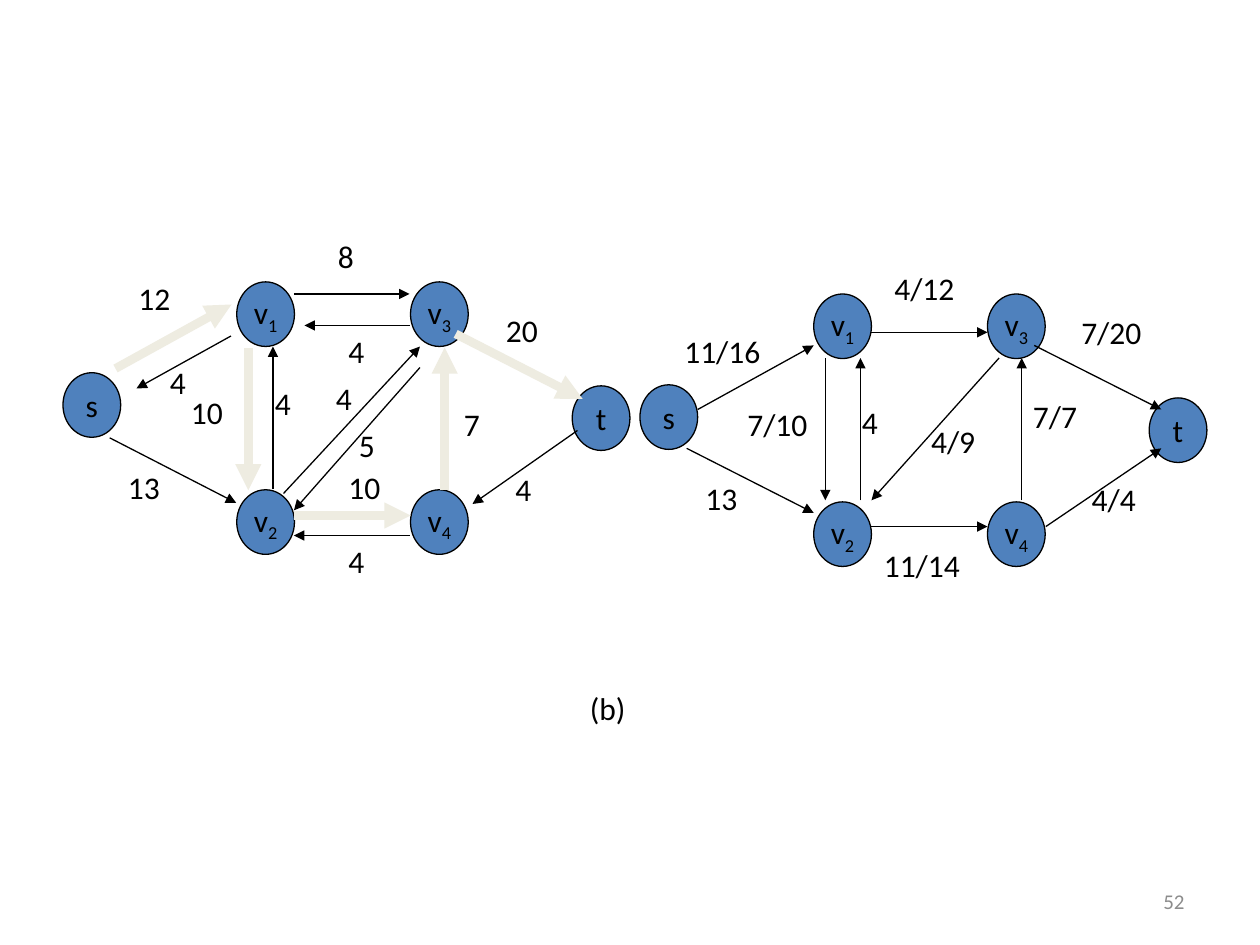
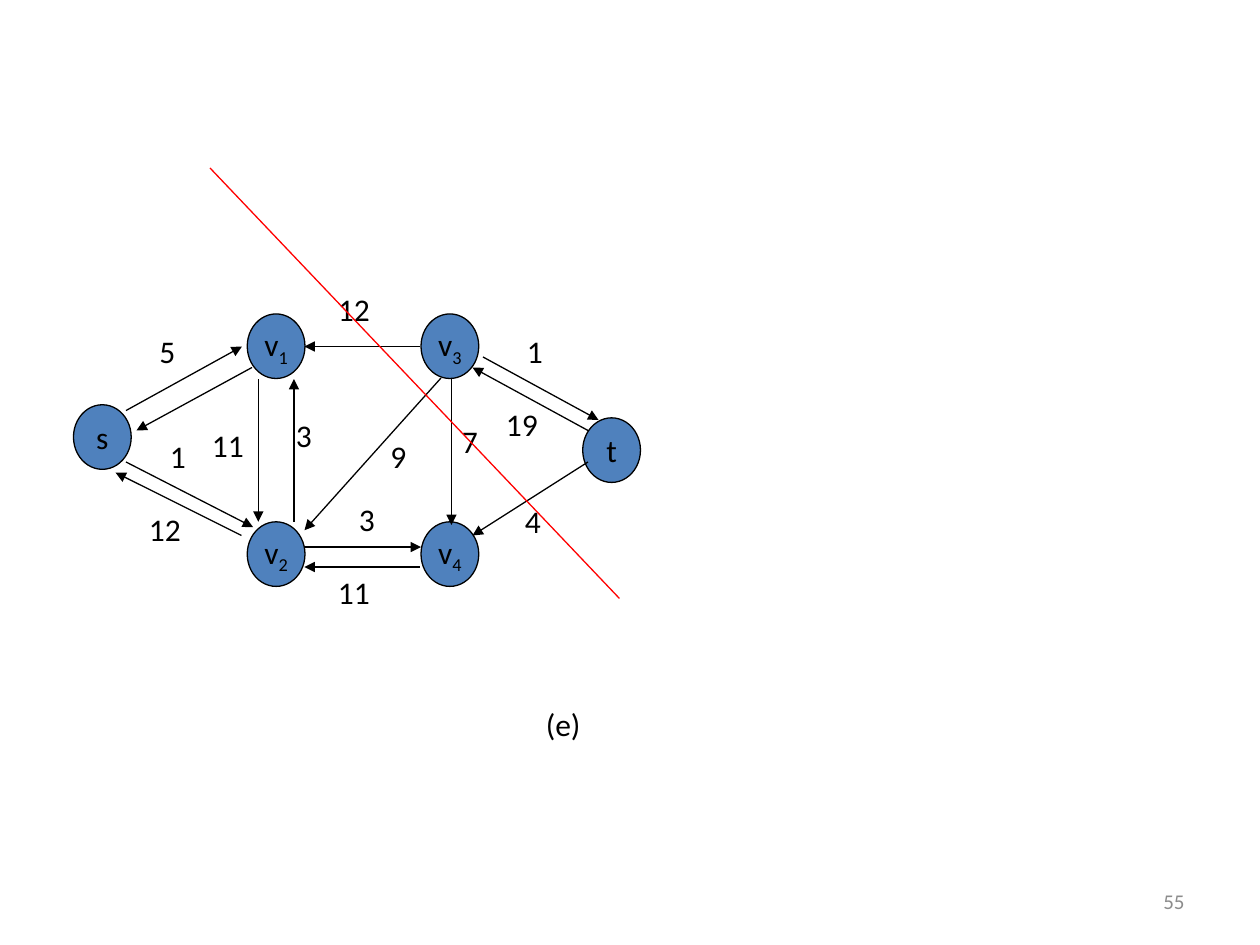
"""Build two slides of residual networks and flows for a maximum flow example."""
from lxml import etree
from pptx import Presentation
from pptx.dml.color import RGBColor
from pptx.enum.shapes import MSO_CONNECTOR as Link, MSO_SHAPE as Preset
from pptx.enum.text import MSO_ANCHOR as Anchor, PP_ALIGN as Align
from pptx.oxml.ns import qn
from pptx.util import Inches, Pt

BLACK = RGBColor(0x00, 0x00, 0x00)
BLUE = RGBColor(0x4F, 0x81, 0xBD)
CREAM = RGBColor(0xEE, 0xEC, 0xE1)
GREY = RGBColor(0x8C, 0x8C, 0x8C)
RED = RGBColor(0xFF, 0x00, 0x00)
FONT = "Calibri"
CELL = Inches(1) / 12
THIN, THICK = 0.75, 5
NODE_WIDTH, NODE_HEIGHT = 5.5, 6.15

NODES = [
    ("s", "", 0, 8.65),
    ("v", "2", 16.55, 19.8),
    ("v", "4", 33.1, 19.8),
    ("t", "", 48.5, 9.9),
    ("v", "3", 33.1, 0),
    ("v", "1", 16.55, 0),
]

RESIDUAL_B = {
    "origin": (6, 26.85),
    "edges": [
        (22, 32, 13, 37), (28, 28, 39, 28), (10.45, 41.7, 22.5, 47.9),
        (26, 46.6, 26, 33), (40, 35, 28, 48.6), (39, 31, 29, 31),
        (27, 47, 40, 33), (39, 51, 28, 51), (55, 41, 45, 48),
    ],
    "augmenting": [
        (11, 35.1, 22.05, 29), (23.65, 33.1, 23.65, 46.7),
        (28, 49.1, 39.1, 49.1), (42.35, 46.7, 42.35, 33.1),
        (43.4, 31.8, 55.5, 38),
    ],
    "labels": [
        ("5", 33, 40), ("12", 12, 26), ("13", 11, 44), ("8", 31, 22),
        ("10", 17, 36.8), ("4", 25, 36), ("20", 47, 29), ("4", 47.9, 44.2),
        ("7", 43, 38), ("4", 32, 51), ("4", 15, 34), ("4", 32, 31),
        ("4", 30.8, 35.5), ("10", 32, 44),
    ],
}
FLOW_B = {
    "origin": (60.95, 28),
    "edges": [
        (66.45, 39, 77.5, 32.9), (83, 31.65, 94.05, 31.65),
        (98.5, 32.9, 110.6, 39), (65.4, 42.7, 77.5, 48.85),
        (83, 50.15, 94.05, 50.15), (99.6, 50.15, 110.6, 42.7),
        (78.6, 34.1, 78.6, 47.65), (81.95, 47.65, 81.95, 34.1),
        (97.3, 47.65, 97.3, 34.1), (95.15, 34.1, 83, 47.65),
    ],
    "augmenting": [],
    "labels": [
        ("4/9", 87.5, 39.6), ("11/16", 64, 31), ("13", 66, 45),
        ("4/12", 84, 25), ("7/10", 70, 38), ("4", 80.9, 37.8),
        ("7/20", 101.8, 29.2), ("4/4", 102.8, 45.1), ("7/7", 97.2, 37.2),
        ("11/14", 83, 51.4),
    ],
}
RESIDUAL_E = {
    "origin": (7, 29.9),
    "edges": [
        (12, 39.1, 23.05, 33), (46, 34, 57, 40), (12, 44, 24.1, 50.2),
        (29, 52.1, 40.1, 52.1), (24.6, 36.1, 24.6, 49.7),
        (28, 49.7, 28, 36.1), (42, 36, 29, 50.5), (40, 33, 29, 33),
        (56, 44, 45, 51), (40, 54, 29, 54), (23, 51, 11, 45),
        (56, 41, 45, 35), (24, 35, 13, 41), (43, 36, 43, 50),
    ],
    "augmenting": [],
    "labels": [
        ("5", 14, 31), ("12", 13, 48), ("12", 31, 27), ("11", 19, 40),
        ("3", 27, 39), ("1", 49, 31), ("4", 48.8, 47.2), ("11", 31, 54),
        ("9", 36, 41), ("3", 33, 47), ("1", 15, 41), ("19", 47, 38),
        ("7", 42.8, 39.6),
    ],
}
PAGES = [
    ("52", [RESIDUAL_B, FLOW_B], ("(b)", 55, 65), []),
    ("55", [RESIDUAL_E], ("(e)", 50.8, 66.6), [(20, 16, 59, 57)]),
]


def write(para, text, size=18, color=BLACK):
    """Add one run to a paragraph and return it."""
    span = para.add_run()
    span.text = text
    span.font.name = FONT
    span.font.size = Pt(size)
    span.font.color.rgb = color
    return span


def draw_line(page, ends, color=BLACK, weight=THIN, arrow=True):
    """Draw a straight line between two grid points."""
    line = page.shapes.add_connector(Link.STRAIGHT, *[round(end * CELL) for end in ends])
    line.line.color.rgb = color
    line.line.width = Pt(weight)
    if arrow:
        etree.SubElement(line.line._get_or_add_ln(), qn("a:tailEnd"), type="triangle")
    etree.SubElement(line._element.spPr, qn("a:effectLst"))


deck = Presentation()
deck.slide_width, deck.slide_height = Inches(10), Inches(7.5)

for number, networks, caption, cuts in PAGES:
    page = deck.slides.add_slide(deck.slide_layouts[6])

    area = [round(length * CELL) for length in (86, 83.4, 28, 4.8)]
    frame = page.shapes.add_textbox(*area).text_frame
    frame.word_wrap = True
    frame.vertical_anchor = Anchor.MIDDLE
    frame.paragraphs[0].alignment = Align.RIGHT
    write(frame.paragraphs[0], number, 12, GREY)

    for network in networks:
        left, top = network["origin"]
        for name, index, column, row in NODES:
            area = (left + column, top + row, NODE_WIDTH, NODE_HEIGHT)
            node = page.shapes.add_shape(Preset.OVAL, *[round(length * CELL) for length in area])
            node.shadow.inherit = False
            node.fill.solid()
            node.fill.fore_color.rgb = BLUE
            node.line.color.rgb = BLACK
            node.line.width = Pt(THIN)
            node.text_frame.word_wrap = False
            node.text_frame.vertical_anchor = Anchor.MIDDLE
            para = node.text_frame.paragraphs[0]
            para.alignment = Align.CENTER
            write(para, name)
            if index:
                subscript = write(para, index)
                subscript.font._element.set("baseline", "-25000")
        for ends in network["augmenting"]:
            draw_line(page, ends, CREAM, THICK)
        for ends in network["edges"]:
            draw_line(page, ends)

    labels = [label for network in networks for label in network["labels"]]
    for text, column, row in labels + [caption]:
        area = (column, row, 2.5 + 1.9 * len(text), 6)
        box = page.shapes.add_textbox(*[round(length * CELL) for length in area])
        box.text_frame.word_wrap = True
        write(box.text_frame.paragraphs[0], text)

    for ends in cuts:
        draw_line(page, ends, RED, arrow=False)

deck.save("out.pptx")
